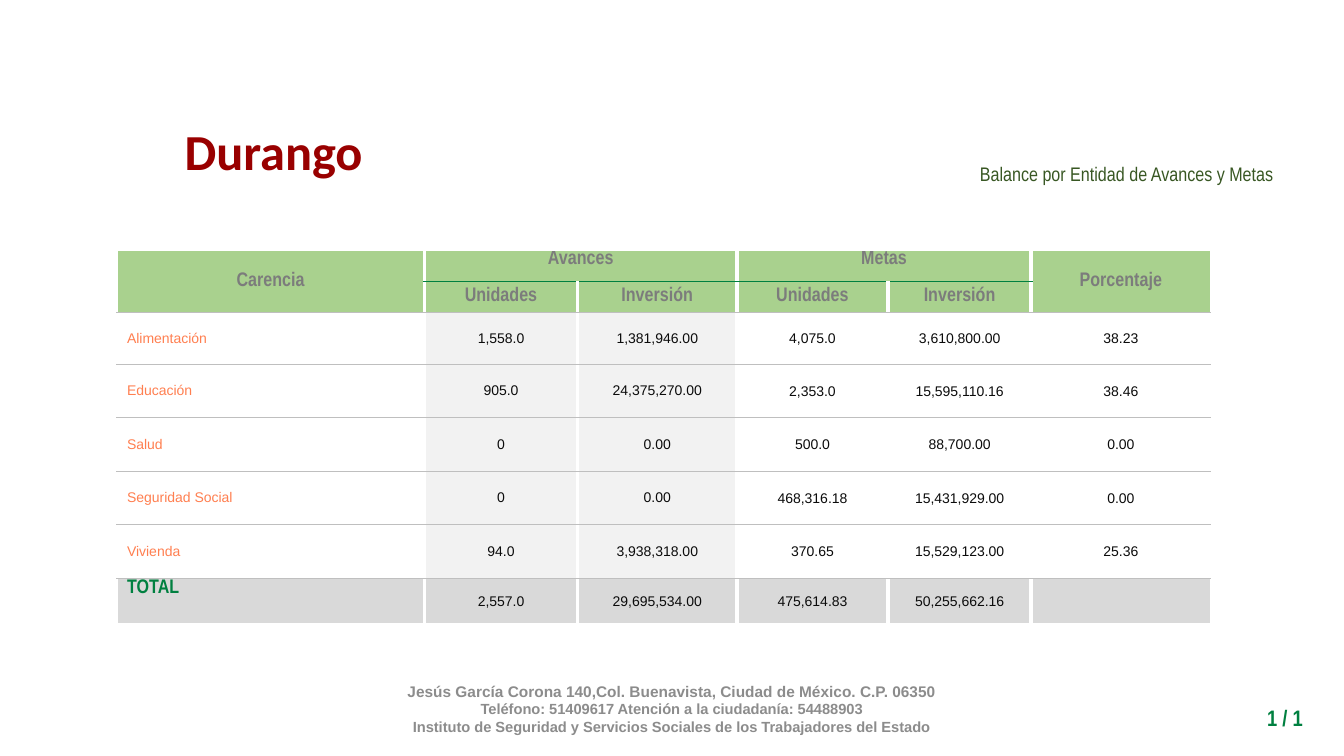
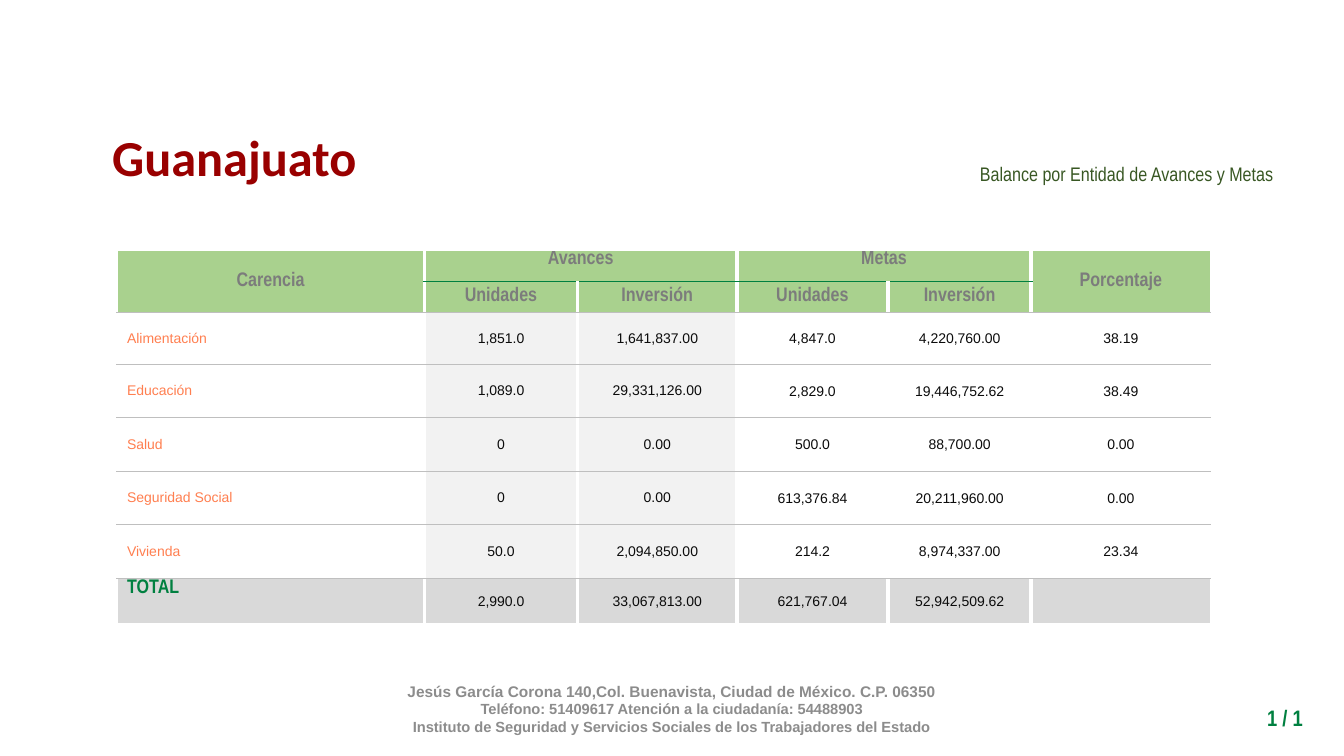
from typing import NamedTuple, Optional

from lxml.etree import SubElement
from pptx import Presentation
from pptx.dml.color import RGBColor
from pptx.enum.text import MSO_ANCHOR as Anchor, MSO_AUTO_SIZE as AutoSize, PP_ALIGN as Align
from pptx.oxml.ns import qn
from pptx.util import Inches, Pt

# Colours
WHITE = RGBColor(0xFF, 0xFF, 0xFF)
RED = RGBColor(0x99, 0x00, 0x00)
GREEN = RGBColor(0x00, 0x80, 0x40)
DARK_GREEN = RGBColor(0x38, 0x57, 0x23)
HEADER_GREEN = RGBColor(0xA9, 0xD1, 0x8E)
HEADER_GRAY = RGBColor(0x7C, 0x7C, 0x7C)
FOOTER_GRAY = RGBColor(0x8C, 0x8C, 0x8C)
RULE_GRAY = RGBColor(0xBF, 0xBF, 0xBF)
PALE_GRAY = RGBColor(0xF2, 0xF2, 0xF2)
TOTAL_GRAY = RGBColor(0xD9, 0xD9, 0xD9)
CORAL = RGBColor(0xFF, 0x7F, 0x50)
INK = RGBColor(0x0B, 0x0B, 0x0B)

SLIDE_W, SLIDE_H = Inches(13.33), Inches(7.5)


class Box(NamedTuple):
    """Left, top, width and height in percent of the slide."""
    x: float
    y: float
    w: float
    h: float


class Style(NamedTuple):
    font: str
    size: float
    color: RGBColor
    bold: bool = False


class Line(NamedTuple):
    color: RGBColor
    width: float


class State(NamedTuple):
    name: str
    title_box: Box
    rows: list[list[str]]


# Shared styles and places
TITLE = Style("Calibri", 36, RED, True)
SUBTITLE = Style("Arial Narrow", 14, DARK_GREEN)
PAGE = Style("Arial Narrow", 16, GREEN, True)
HEADER = Style("Arial Narrow", 14, HEADER_GRAY, True)
TOTAL = Style("Arial Narrow", 14, GREEN, True)
LABEL = Style("Arial", 10, CORAL)
NUMBER = Style("Arial", 10, INK)
FOOTER_TOP = Style("Arial", 11, FOOTER_GRAY, True)
FOOTER = FOOTER_TOP._replace(size=10.5)

SUBTITLE_BOX = Box(50.19, 16.4, 45.31, 12.67)
PAGE_BOX = Box(88.22, 92.53, 9.45, 4.93)
FOOTER_BOX = Box(21.6, 91.07, 56.8, 5.33)
FOOTER_LINES = [
    ("Jesús García Corona 140,Col. Buenavista, Ciudad de México. C.P. 06350", FOOTER_TOP),
    ("Teléfono: 51409617 Atención a la ciudadanía: 54488903", FOOTER),
    ("Instituto de Seguridad y Servicios Sociales de los Trabajadores del Estado", FOOTER),
]

# Table grid, in percent of the slide
TABLE_X, TABLE_Y = 8.7, 33.07
COLS = [22.88, 11.4, 11.85, 11.25, 10.65, 13.35]
ROWS = [4.13, 4.13, 6.87] + [7.08] * 4 + [6.13]
LAST_ROW, LAST_COL = len(ROWS) - 1, len(COLS) - 1
HEADINGS = [
    ["Carencia", "Avances", "", "Metas", "", "Porcentaje"],
    ["", "Unidades", "Inversión", "Unidades", "Inversión", ""],
]
MERGES = [((0, 0), (1, 0)), ((0, 1), (0, 2)), ((0, 3), (0, 4)), ((0, 5), (1, 5))]
LABELS = ["Alimentación", "Educación", "Salud", "Seguridad Social", "Vivienda", "TOTAL"]

GAP = Line(WHITE, 3)
RULE = Line(RULE_GRAY, 0.5)
HEADER_RULE = Line(GREEN, 0.25)

STATES = [
    State("Durango", Box(12.9, 15.2, 14.93, 9.47), [
        ["1,558.0", "1,381,946.00", "4,075.0", "3,610,800.00", "38.23"],
        ["905.0", "24,375,270.00", "2,353.0", "15,595,110.16", "38.46"],
        ["0", "0.00", "500.0", "88,700.00", "0.00"],
        ["0", "0.00", "468,316.18", "15,431,929.00", "0.00"],
        ["94.0", "3,938,318.00", "370.65", "15,529,123.00", "25.36"],
        ["2,557.0", "29,695,534.00", "475,614.83", "50,255,662.16", ""],
    ]),
    State("Guanajuato", Box(7.5, 16, 19.88, 9.47), [
        ["1,851.0", "1,641,837.00", "4,847.0", "4,220,760.00", "38.19"],
        ["1,089.0", "29,331,126.00", "2,829.0", "19,446,752.62", "38.49"],
        ["0", "0.00", "500.0", "88,700.00", "0.00"],
        ["0", "0.00", "613,376.84", "20,211,960.00", "0.00"],
        ["50.0", "2,094,850.00", "214.2", "8,974,337.00", "23.34"],
        ["2,990.0", "33,067,813.00", "621,767.04", "52,942,509.62", ""],
    ]),
]


def across(percent: float) -> int:
    return round(SLIDE_W * percent / 100)


def down(percent: float) -> int:
    return round(SLIDE_H * percent / 100)


def place(box: Box) -> tuple[int, int, int, int]:
    return across(box.x), down(box.y), across(box.w), down(box.h)


def write(p, text: str, style: Style, align: Align) -> None:
    p.text = text
    p.alignment = align
    f = p.font
    f.name, f.size, f.bold = style.font, Pt(style.size), style.bold
    f.color.rgb = style.color


def add_text(slide, box: Box, lines: list[tuple[str, Style]], align: Align,
             anchor: Anchor = Anchor.MIDDLE, spacing: Optional[float] = None) -> None:
    tf = slide.shapes.add_textbox(*place(box)).text_frame
    tf.word_wrap = True
    tf.vertical_anchor = anchor
    for i, (text, style) in enumerate(lines):
        p = tf.add_paragraph() if i else tf.paragraphs[0]
        write(p, text, style, align)
        p.line_spacing = spacing


def add_title(slide, state: State) -> None:
    sp = slide.shapes.title
    sp.left, sp.top, sp.width, sp.height = place(state.title_box)
    tf = sp.text_frame
    tf.word_wrap = False
    tf.auto_size = AutoSize.NONE
    tf.vertical_anchor = Anchor.TOP
    write(tf.paragraphs[0], state.name, TITLE, Align.CENTER)


def set_borders(cell, row: int, col: int) -> None:
    """White gaps between columns, thin rules between rows."""
    grouped = 0 < col < LAST_COL
    top = HEADER_RULE if row == 1 else RULE
    bottom = GAP if row == LAST_ROW else HEADER_RULE if row == 0 and grouped else RULE
    edges = {
        "L": GAP if col > 0 and not cell.is_spanned else None,
        "R": GAP if col < LAST_COL else None,
        "T": top if row > 0 and not cell.is_spanned else None,
        "B": bottom,
    }
    tc_pr = cell._tc.get_or_add_tcPr()
    for side, line in edges.items():
        if line:
            ln = SubElement(tc_pr, qn(f"a:ln{side}"), w=str(Pt(line.width)))
            fill = SubElement(ln, qn("a:solidFill"))
            SubElement(fill, qn("a:srgbClr"), val=str(line.color))


def set_fill(cell, row: int, col: int) -> None:
    if row < len(HEADINGS):
        color = HEADER_GREEN
    elif row == LAST_ROW:
        color = TOTAL_GRAY
    else:
        color = PALE_GRAY if col in (1, 2) else None
    if color is None:
        cell.fill.background()
    else:
        cell.fill.solid()
        cell.fill.fore_color.rgb = color


def set_text(cell, row: int, col: int, text: str) -> None:
    style, align, anchor = NUMBER, Align.CENTER, Anchor.MIDDLE
    if row < len(HEADINGS):
        style = HEADER
        cell.margin_top = cell.margin_bottom = 0
        if row == 0 and 0 < col < LAST_COL:
            anchor = Anchor.TOP
    elif col == 0:
        style, align = LABEL, Align.LEFT
        if row == LAST_ROW:
            style, anchor = TOTAL, Anchor.TOP
            cell.margin_top = Inches(0.01)
    elif col > 2:
        cell.margin_left = cell.margin_right = cell.margin_top = Inches(0.01)
        cell.margin_bottom = 0
    cell.vertical_anchor = anchor
    write(cell.text_frame.paragraphs[0], text, style, align)


def add_balance(slide, state: State) -> None:
    box = Box(TABLE_X, TABLE_Y, sum(COLS), sum(ROWS))
    table = slide.shapes.add_table(len(ROWS), len(COLS), *place(box)).table
    table.first_row = table.horz_banding = False
    for column, width in zip(table.columns, COLS):
        column.width = across(width)
    for table_row, height in zip(table.rows, ROWS):
        table_row.height = down(height)
    for start, end in MERGES:
        table.cell(*start).merge(table.cell(*end))

    texts = HEADINGS + [[label, *values] for label, values in zip(LABELS, state.rows)]
    for row, row_texts in enumerate(texts):
        for col, text in enumerate(row_texts):
            cell = table.cell(row, col)
            set_borders(cell, row, col)
            set_fill(cell, row, col)
            set_text(cell, row, col, text)


def add_state(prs, state: State) -> None:
    slide = prs.slides.add_slide(prs.slide_layouts[5])
    add_text(slide, FOOTER_BOX, FOOTER_LINES, Align.CENTER)
    add_balance(slide, state)
    add_text(slide, SUBTITLE_BOX, [("Balance por Entidad de Avances y Metas", SUBTITLE)],
             Align.RIGHT, spacing=1.15)
    add_text(slide, PAGE_BOX, [("1 / 1", PAGE)], Align.RIGHT, Anchor.TOP)
    add_title(slide, state)


def main() -> None:
    prs = Presentation()
    prs.slide_width, prs.slide_height = SLIDE_W, SLIDE_H
    for state in STATES:
        add_state(prs, state)
    prs.save("out.pptx")


if __name__ == "__main__":
    main()
